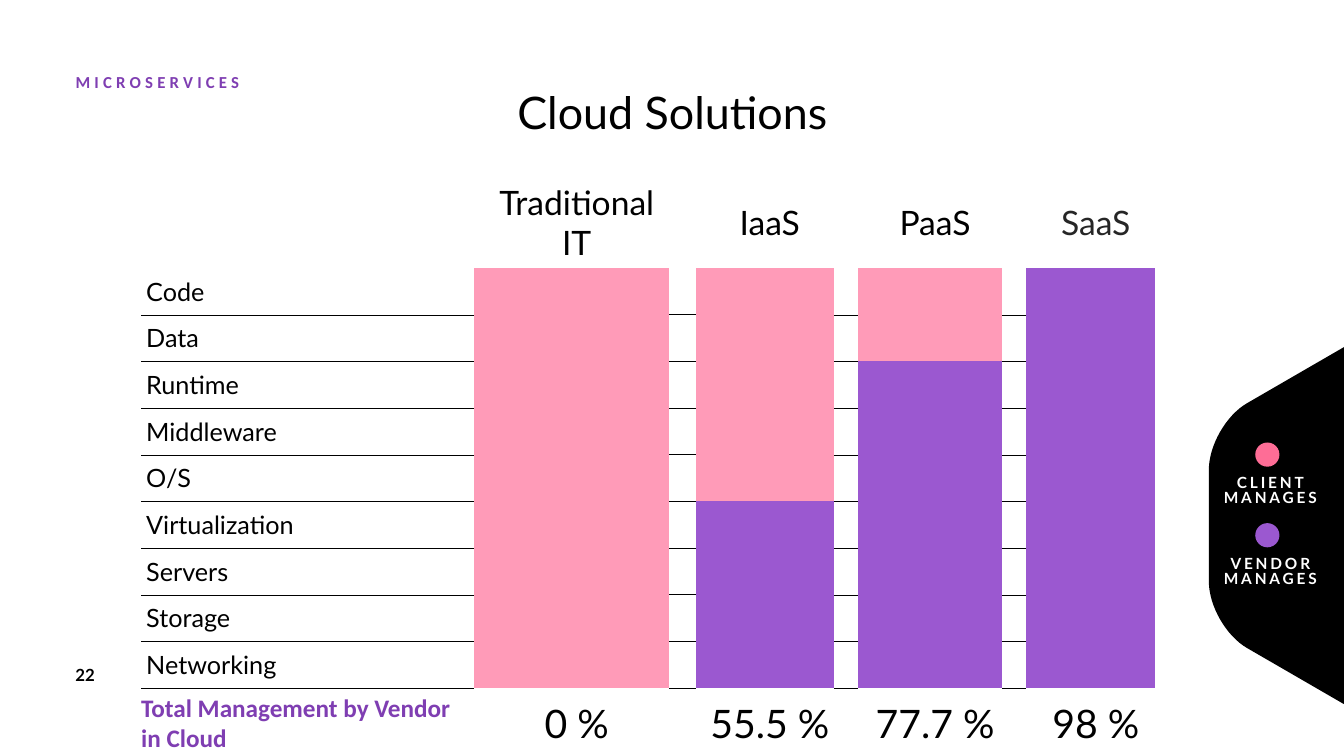
import lxml.etree
import pptx
import pptx.dml.color
import pptx.enum.shapes
import pptx.enum.text
import pptx.oxml.ns
import pptx.util

Inches = pptx.util.Inches
RGB = pptx.dml.color.RGBColor
ALIGN = pptx.enum.text.PP_ALIGN
MID = pptx.enum.text.MSO_ANCHOR.MIDDLE
qn = pptx.oxml.ns.qn

BLACK = RGB(0x00, 0x00, 0x00)
WHITE = RGB(0xFF, 0xFF, 0xFF)
GREY = RGB(0x26, 0x26, 0x26)
PURPLE = RGB(0x7F, 0x3E, 0xB2)
ROSE = RGB(0xFF, 0x59, 0x88)
CLIENT = RGB(0xFF, 0x9B, 0xB8)
VENDOR = RGB(0x9B, 0x58, 0xD0)
DOT = RGB(0xFE, 0x6D, 0x96)
PLAIN = "{2D5ABB26-0587-4C30-8999-92F81FD0307C}"

LAYERS = ["Code", "Data", "Runtime", "Middleware", "O/S",
          "Virtualization", "Servers", "Storage", "Networking"]
MODELS = [("Traditional IT", 9, "0 %", BLACK), ("IaaS", 5, "55.5 %", BLACK),
          ("PaaS", 2, "77.7 %", BLACK), ("SaaS", 0, "98 %", GREY)]
WIDTHS = [3.3, 1.94, 0.26, 1.37, 0.2, 1.43, 0.19, 1.28]


def style(frame, size, color, name="Lato", bold=False, space=0, align=None, lead=None):
    for para in frame.paragraphs:
        para.alignment = align
        para.line_spacing = lead
        for run in para.runs:
            font = run.font
            font.name, font.size, font.bold = name, pptx.util.Pt(size), bold
            font.color.rgb = color
            if space:
                run._r.get_or_add_rPr().set("spc", str(space * 100))


def label(slide, box, text, inset=0.0, wrap=False, pad=0.05):
    shape = slide.shapes.add_textbox(*map(Inches, box))
    frame = shape.text_frame
    frame.word_wrap = wrap
    frame.margin_left = frame.margin_right = Inches(inset)
    frame.margin_top = frame.margin_bottom = Inches(pad)
    frame.text = text
    return frame


def header(slide, box):
    left, top, width, height = box
    frame = label(slide, (left, top, 1.76, 0.3), "MICROSERVICES")
    style(frame, 12, PURPLE, "Calibri", True, 3)
    fill = frame.paragraphs[0].runs[0].font.fill
    fill.gradient()
    fill.gradient_angle = 315
    for stop, color in zip(fill.gradient_stops, (PURPLE, ROSE)):
        stop.color.rgb = color
    title = slide.shapes.title
    title.left, title.top = Inches(left + 1.21), Inches(top + 0.21)
    title.width, title.height = Inches(width), Inches(height)
    title.text_frame.text = "Cloud Solutions"
    title.text_frame.vertical_anchor = MID
    style(title.text_frame, 32, BLACK, align=ALIGN.CENTER, lead=0.9)


def footer(slide, box):
    style(label(slide, box, "22", 0.1), 12, BLACK, bold=True)


def rule(cell, side, width):
    props = cell._tc.get_or_add_tcPr()
    line = lxml.etree.SubElement(props, qn("a:" + side), w=str(pptx.util.Pt(width)))
    fill = lxml.etree.SubElement(line, qn("a:solidFill"))
    lxml.etree.SubElement(fill, qn("a:srgbClr"), val=str(BLACK))


def paint(cell, color):
    cell.fill.solid()
    cell.fill.fore_color.rgb = color


def write(cell, text, size, color, left=0.1, right=0.0, **extra):
    cell.text = text
    cell.vertical_anchor = MID
    cell.margin_left, cell.margin_right = Inches(left), Inches(right)
    style(cell.text_frame, size, color, **extra)


def matrix(slide, box):
    rows = [0.45] + [0.463] * len(LAYERS) + [0.69]
    table = slide.shapes.add_table(len(rows), len(WIDTHS), *map(Inches, box)).table
    table.first_row = table.horz_banding = False
    table._tbl.tblPr.find(qn("a:tableStyleId")).text = PLAIN
    for col, width in zip(table.columns, WIDTHS):
        col.width = Inches(width)
    for row, height in zip(table.rows, rows):
        row.height = Inches(height)
    last = len(LAYERS)
    for r in range(len(rows)):
        for c in (0, 2, 4, 6):
            cell = table.cell(r, c)
            width = 1 if c == 2 else 0.5
            if 1 < r <= last:
                rule(cell, "lnT", width)
            if 0 < r < last:
                rule(cell, "lnB", width)
            if c == 2:
                paint(cell, WHITE)
            else:
                cell.fill.background()
    for r, layer in enumerate(LAYERS, 1):
        write(table.cell(r, 0), layer, 18, BLACK, 0.05, 0.1)
    write(table.cell(last + 1, 0), "Total Management by Vendor in Cloud", 18,
          PURPLE, 0, 0.1, name="Calibri", bold=True)
    for n, (name, own, share, color) in enumerate(MODELS):
        c = 2 * n + 1
        head, foot = table.cell(0, c), table.cell(last + 1, c)
        write(head, name, 24, color, align=ALIGN.CENTER)
        write(foot, share, 28, BLACK, align=ALIGN.CENTER)
        head.fill.background()
        foot.fill.background()
        for r in range(last):
            paint(table.cell(r + 1, c), CLIENT if r < own else VENDOR)


def curve(a, b, c, d, steps=16):
    for n in range(steps + 1):
        t = n / steps
        u = 1 - t
        yield tuple(u**3 * p + 3 * u * u * t * q + 3 * u * t * t * r + t**3 * s
                    for p, q, r, s in zip(a, b, c, d))


def badge(slide, box):
    left, top, width, height = box
    side = list(curve((0, 1.31), (0, 1.07), (0.17, 0.77), (0.38, 0.65)))
    peak = list(curve((1.33, 0.1), (1.54, -0.03), (1.9, -0.03), (2.11, 0.1)))
    upper = side + peak + [(width - x, y) for x, y in reversed(side)]
    lower = [(x, height - y) for x, y in reversed(upper)]
    spots = [(Inches(left + x), Inches(top + y)) for x, y in upper + lower]
    build = slide.shapes.build_freeform(*spots[0])
    build.add_line_segments(spots[1:])
    shape = build.convert_to_shape()
    shape.shadow.inherit = False
    shape.fill.solid()
    shape.fill.fore_color.rgb = BLACK
    shape.line.fill.background()


def legend(slide, box):
    left, top, width, step = box
    keys = [("CLIENT", DOT), ("VENDOR", VENDOR)]
    for n, (name, color) in enumerate(keys):
        y = top + n * step
        dot = slide.shapes.add_shape(
            pptx.enum.shapes.MSO_SHAPE.OVAL,
            *map(Inches, (left + 0.46, y, 0.24, 0.24)))
        dot.shadow.inherit = False
        dot.fill.solid()
        dot.fill.fore_color.rgb = color
        dot.line.fill.background()
        frame = label(slide, (left, y + 0.34, width, 0.3),
                      name + "\nMANAGES", wrap=True, pad=0)
        style(frame, 11, WHITE, bold=True, space=2, align=ALIGN.CENTER, lead=0.8)


def main():
    deck = pptx.Presentation()
    deck.slide_width, deck.slide_height = Inches(13.33), Inches(7.5)
    slide = deck.slides.add_slide(deck.slide_layouts[5])
    footer(slide, (0.65, 6.55, 0.4, 0.3))
    header(slide, (0.75, 0.66, 9.42, 0.54))
    badge(slide, (11.99, 3.35, 3.44, 3.73))
    matrix(slide, (1.4, 1.76, 9.97, 5.37))
    legend(slide, (11.99, 4.39, 1.22, 0.8))
    deck.save("out.pptx")


if __name__ == "__main__":
    main()
